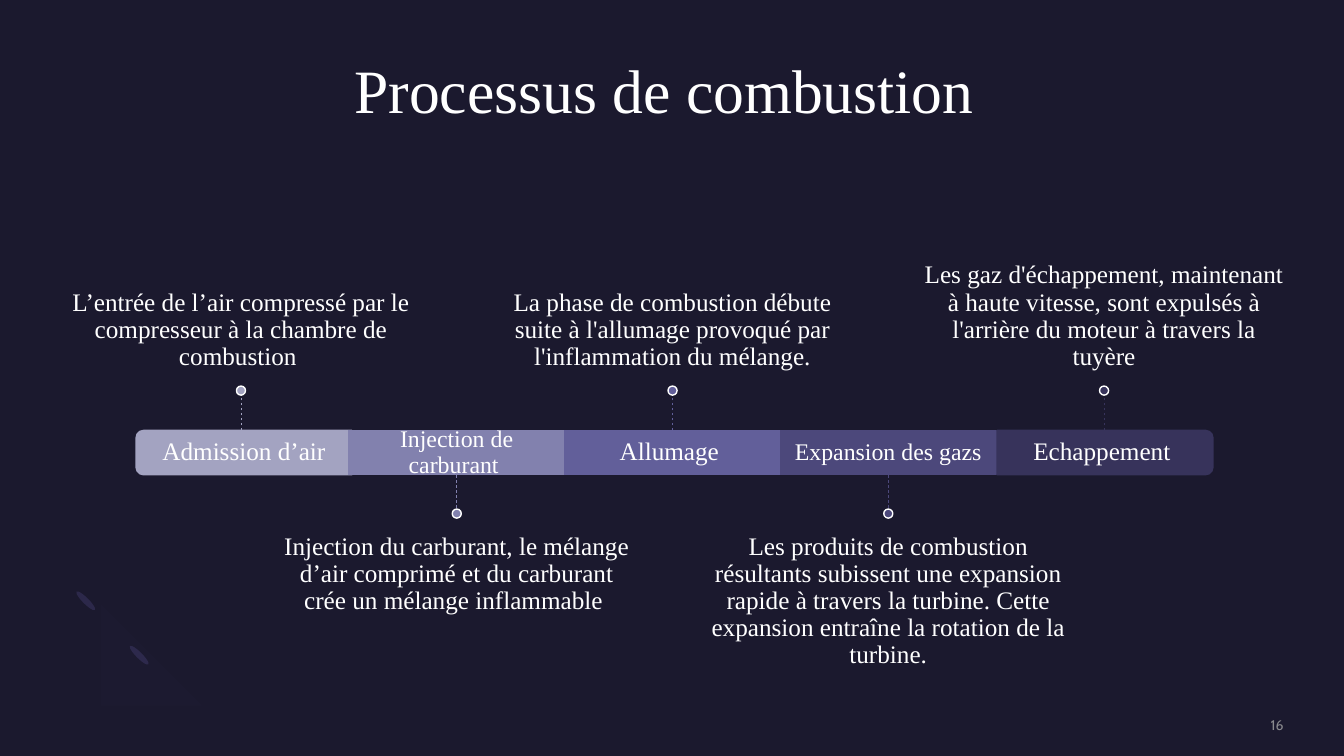
from lxml import etree
from pptx import Presentation
from pptx.dml.color import RGBColor
from pptx.enum import dml, shapes, text
from pptx.oxml import ns
from pptx.util import Inches, Pt

HUES = {"back": "1B192E", "white": "FFFFFF", "leaf": "2C284A", "arc": "7771B2",
        "page": "8A8A8E", "air": "A3A3C1", "fuel": "8281AE", "spark": "625F9A",
        "gas": "4C487B", "out": "37335B"}
KIND = shapes.MSO_SHAPE
FONT = "Times New Roman"
TOP, MID, LOW = text.MSO_ANCHOR.TOP, text.MSO_ANCHOR.MIDDLE, text.MSO_ANCHOR.BOTTOM

deck = Presentation()
deck.slide_width, deck.slide_height = Inches(13.33), Inches(7.5)
slide = deck.slides.add_slide(deck.slide_layouts[5])
slide.background.fill.solid()
slide.background.fill.fore_color.rgb = RGBColor.from_string(HUES["back"])


def shape(kind, left, top, width, height, hue, edge=None, turn=0):
    item = slide.shapes.add_shape(kind, Inches(left), Inches(top), Inches(width), Inches(height))
    item.shadow.inherit = False
    item.rotation = turn
    item.fill.solid()
    item.fill.fore_color.rgb = RGBColor.from_string(HUES[hue])
    if edge:
        item.line.color.rgb = RGBColor.from_string(HUES[edge])
        item.line.width = Pt(1)
    else:
        item.line.fill.background()
    return item


def write(box, words, size, anchor, pads=(0, 0, 0, 0), hue="white",
          font=FONT, align=text.PP_ALIGN.CENTER):
    """Fill a box with one paragraph; pads run left, top, right, bottom."""
    frame = box.text_frame
    frame.word_wrap = True
    frame.auto_size = text.MSO_AUTO_SIZE.NONE
    frame.vertical_anchor = anchor
    (frame.margin_left, frame.margin_top,
     frame.margin_right, frame.margin_bottom) = [Inches(pad) for pad in pads]
    para = frame.paragraphs[0]
    para.alignment = align
    para.line_spacing = 0.9
    run = para.add_run()
    run.text = words
    run.font.name, run.font.size = font, Pt(size)
    run.font.color.rgb = RGBColor.from_string(HUES[hue])


# Corner ornament
for left, top in [(1.35, 6.37), (0.82, 5.83)]:
    shape(KIND.OVAL, left, top, 0.06, 0.26, "leaf", turn=135)

curves = [[(0.76, 6.59), (0.56, 6.39), (0.58, 6.05), (0.81, 5.82)],
          [(0.99, 6), (0.87, 6.11), (0.86, 6.29), (0.96, 6.38)],
          [(0.96, 6.38), (1.06, 6.48), (1.23, 6.47), (1.35, 6.36)],
          [(1.52, 6.54), (1.3, 6.76), (0.95, 6.79), (0.76, 6.59)]]
dots = []
for a, b, c, d in curves:
    for step in range(11):
        t = step / 10
        s = 1 - t
        dots.append([s**3 * a[n] + 3 * s * s * t * b[n] + 3 * s * t * t * c[n] + t**3 * d[n]
                     for n in (0, 1)])
pen = slide.shapes.build_freeform(*dots[0], scale=Inches(1))
pen.add_line_segments(dots[1:], close=True)
arc = pen.convert_to_shape()
arc.shadow.inherit = False
arc.line.fill.background()
arc.fill.solid()
arc.fill.fore_color.rgb = RGBColor.from_string(HUES["arc"])
tint = next(arc.fill._xPr.iter(ns.qn("a:srgbClr")))
etree.SubElement(tint, ns.qn("a:alpha")).set("val", "2000")

# Title
title = slide.shapes.title
title.left, title.top, title.width, title.height = [Inches(n) for n in (0.6, 0.6, 12.13, 1.46)]
write(title, "Processus de combustion ", 44, TOP)

# Steps: hue, label, label size, detail
steps = [
    ("air", "Admission d’air", 18,
     "L’entrée de l’air compressé par le compresseur à la chambre de combustion "),
    ("fuel", "Injection de carburant ", 17,
     "Injection du carburant, le mélange d’air comprimé et du carburant "
     "crée un mélange inflammable "),
    ("spark", "Allumage ", 18,
     "La phase de combustion débute suite à l'allumage provoqué par "
     "l'inflammation du mélange."),
    ("gas", "Expansion des gazs", 17,
     "Les produits de combustion résultants subissent une expansion rapide à travers "
     "la turbine. Cette expansion entraîne la rotation de la turbine."),
    ("out", "Echappement ", 18,
     "Les gaz d'échappement, maintenant à haute vitesse, sont expulsés à l'arrière "
     "du moteur à travers la tuyère"),
]
WIDE, HIGH, BAR = 2.14, 0.44, 4.27
ends = {0: (270, 0.03), 4: (90, 0.01)}  # turn and shift of the rounded bars

for i, (hue, label, size, detail) in enumerate(steps):
    mid = 2.39 + i * WIDE
    above = i % 2 == 0
    turn, shift = ends.get(i, (0, 0))
    if turn:
        bar = shape(KIND.ROUND_2_SAME_RECTANGLE, mid + shift - HIGH / 2,
                    BAR + HIGH / 2 - WIDE / 2, HIGH, WIDE, hue, hue, turn)
    else:
        bar = shape(KIND.RECTANGLE, mid - WIDE / 2, BAR, WIDE, HIGH, hue, hue)
    name = slide.shapes.add_textbox(Inches(mid + shift - WIDE / 2), Inches(BAR),
                                    Inches(WIDE), Inches(HIGH))
    write(name, label, size, MID, (0.15, 0.15, 0.15, 0.15) if size == 18 else (0.14,) * 4)

    note = slide.shapes.add_textbox(Inches(mid - 1.785), Inches(2.31 if above else 5.14),
                                    Inches(3.57), Inches(1.52))
    write(note, detail, 18, LOW if above else TOP,
          (0, 0, 0, 0.15) if above else (0, 0.15, 0, 0))

    near, far = (BAR, 3.92) if above else (BAR + HIGH, 5.05)
    stem = slide.shapes.add_connector(shapes.MSO_CONNECTOR.STRAIGHT, Inches(mid), Inches(near),
                                      Inches(mid), Inches(far))
    if not turn:
        stem.begin_connect(bar, 0 if above else 2)
    stem.line.color.rgb = RGBColor.from_string(HUES[hue])
    stem.line.width = Pt(0.5)
    stem.line.dash_style = dml.MSO_LINE.DASH
    etree.SubElement(stem._element.spPr, ns.qn("a:effectLst"))
    shape(KIND.OVAL, mid - 0.045, 3.83 if above else 5.05, 0.09, 0.09, hue, "white")

# Page number
page = slide.shapes.add_textbox(Inches(10.88), Inches(7.12), Inches(1.85), Inches(0.17))
write(page, "16", 10, MID, hue="page", font="Cabin", align=text.PP_ALIGN.RIGHT)

deck.save("out.pptx")
